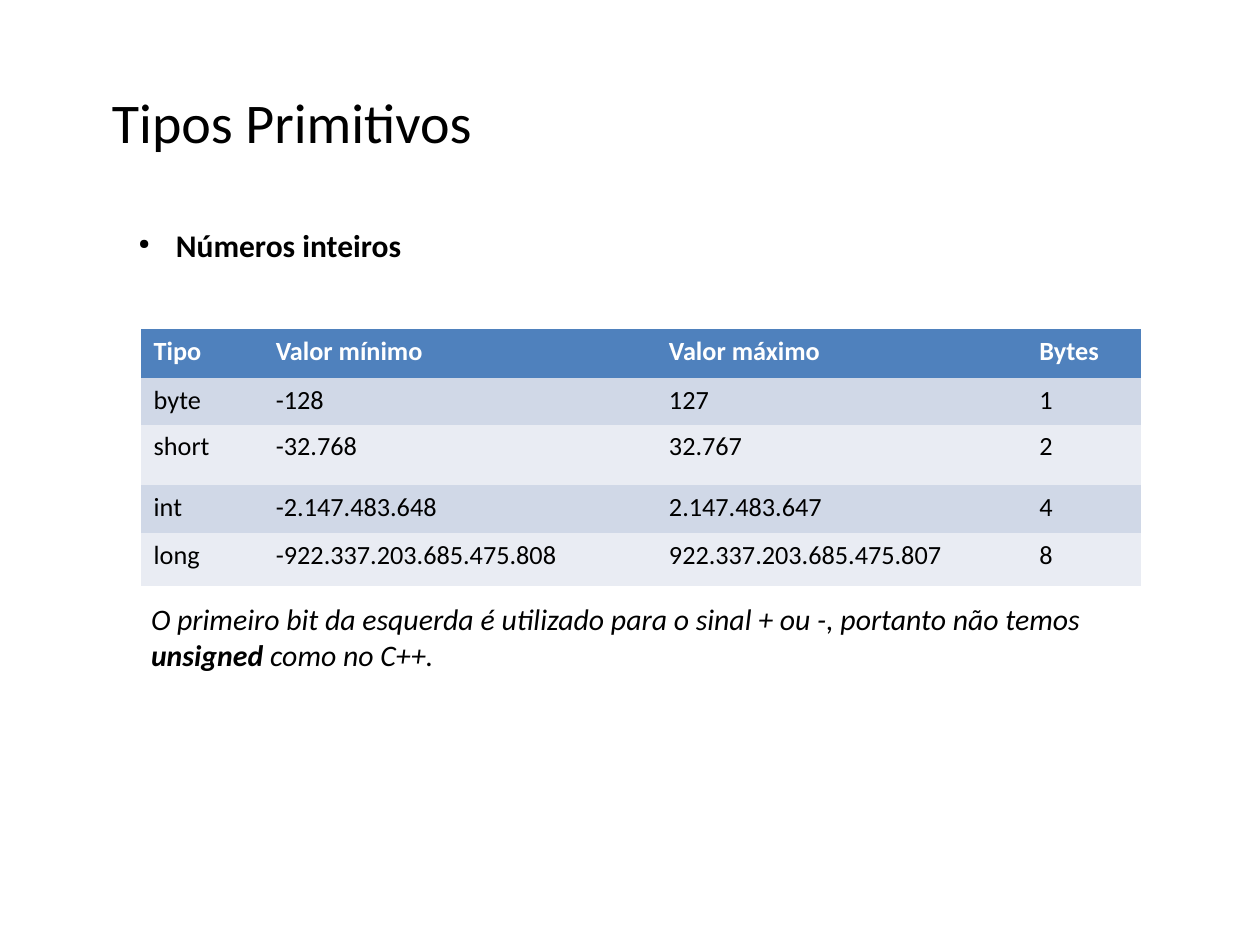
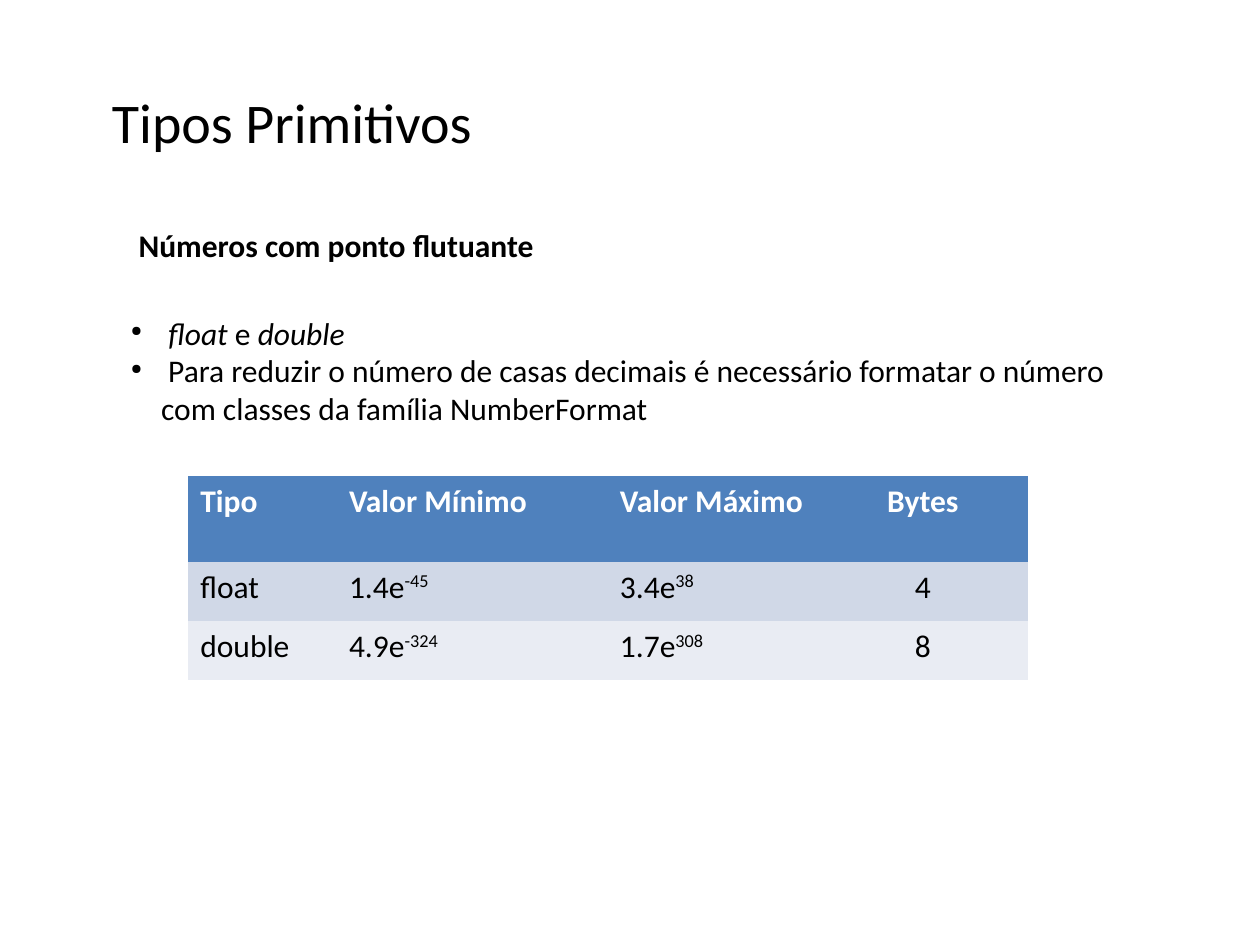
from dataclasses import dataclass

from lxml import etree
from pptx import Presentation
from pptx.dml.color import RGBColor
from pptx.enum.text import MSO_ANCHOR, PP_ALIGN
from pptx.oxml.ns import qn
from pptx.util import Inches, Pt

TOP, MIDDLE = MSO_ANCHOR.TOP, MSO_ANCHOR.MIDDLE
LEFT, CENTER = PP_ALIGN.LEFT, PP_ALIGN.CENTER
BLANK_LAYOUT = 6
PLAIN_TABLE_STYLE = "{2D5ABB26-0587-4C30-8999-92F81FD0307C}"


@dataclass(frozen=True)
class Theme:
    font: str = "Calibri"
    ink: str = "000000"
    header_ink: str = "FFFFFF"
    header_fill: str = "4F81BD"
    band_fills: tuple = ("D0D8E7", "E9ECF3")
    title_size: int = 32
    body_size: int = 18
    note_size: int = 17
    compact_size: int = 15
    bullet_indent: float = 0.24


@dataclass(frozen=True)
class Span:
    text: str
    bold: bool = False
    italic: bool = False
    raised: bool = False


class SlideBuilder:
    def __init__(self, deck, theme):
        self.deck = deck
        self.theme = theme
        self.page = None

    def new_page(self, title, heading, bulleted=False):
        """Start a slide with the shared title and section heading."""
        layout = self.deck.slide_layouts[BLANK_LAYOUT]
        self.page = self.deck.slides.add_slide(layout)
        self.text_box((0.79, 0.22, 8.5, 1.48), [[Span(title)]],
                      self.theme.title_size, anchor=MIDDLE)
        self.text_box((1.1, 1.64, 7.95, 0.61), [[Span(heading, bold=True)]],
                      self.theme.body_size, anchor=MIDDLE,
                      bulleted=bulleted, inset=False)

    def text_box(self, place, paragraphs, size, anchor=TOP,
                 bulleted=False, inset=True):
        box = self.page.shapes.add_textbox(*map(Inches, place))
        frame = box.text_frame
        frame.word_wrap = True
        frame.vertical_anchor = anchor
        if not inset:
            frame.margin_left = frame.margin_right = 0
            frame.margin_top = frame.margin_bottom = 0
        for index, spans in enumerate(paragraphs):
            para = frame.add_paragraph() if index else frame.paragraphs[0]
            if bulleted:
                self.add_bullet(para)
            self.fill_paragraph(para, spans, size, self.theme.ink)

    def add_bullet(self, para):
        properties = para._p.get_or_add_pPr()
        indent = Inches(self.theme.bullet_indent)
        properties.set("marL", str(indent))
        properties.set("indent", str(-indent))
        colour = etree.SubElement(properties, qn("a:buClr"))
        etree.SubElement(colour, qn("a:srgbClr"), val=self.theme.ink)
        etree.SubElement(properties, qn("a:buSzPct"), val="45000")
        etree.SubElement(properties, qn("a:buChar"), char="●")

    def fill_paragraph(self, para, spans, size, colour):
        para.font.name = self.theme.font
        para.font.size = Pt(size)
        para.font.color.rgb = RGBColor.from_string(colour)
        para.font.bold = all(span.bold for span in spans)
        para.font.italic = all(span.italic for span in spans)
        for span in spans:
            run = para.add_run()
            run.text = span.text
            if span.bold != para.font.bold:
                run.font.bold = span.bold
            if span.italic != para.font.italic:
                run.font.italic = span.italic
            if span.raised:
                run.font._element.set("baseline", "33000")

    def table(self, left, top, widths, heights, rows, size, alignments):
        """Draw a header row and banded rows; each cell is a list of spans."""
        shape = self.page.shapes.add_table(
            len(rows), len(widths), Inches(left), Inches(top),
            Inches(sum(widths)), Inches(sum(heights)))
        table = shape.table
        table._tbl.tblPr.find(qn("a:tableStyleId")).text = PLAIN_TABLE_STYLE
        for column, width in zip(table.columns, widths):
            column.width = Inches(width)
        for row, height in zip(table.rows, heights):
            row.height = Inches(height)
        for row_index, row in enumerate(rows):
            if row_index:
                fill = self.theme.band_fills[(row_index - 1) % 2]
                ink = self.theme.ink
            else:
                fill, ink = self.theme.header_fill, self.theme.header_ink
            for column_index, spans in enumerate(row):
                cell = table.cell(row_index, column_index)
                cell.fill.solid()
                cell.fill.fore_color.rgb = RGBColor.from_string(fill)
                para = cell.text_frame.paragraphs[0]
                para.alignment = alignments[column_index]
                self.fill_paragraph(para, spans, size, ink)


def header(*labels):
    return [[Span(label, bold=True)] for label in labels]


def plain(*values):
    return [[Span(value)] for value in values]


def power(mantissa, exponent):
    return [Span(mantissa + "e"), Span(exponent, raised=True)]


def integer_types(builder):
    theme = builder.theme
    builder.new_page("Tipos Primitivos", " Números inteiros", bulleted=True)
    builder.table(
        1.12, 2.61, (0.97, 3.12, 2.94, 0.91), (0.39, 0.37, 0.48, 0.38, 0.42),
        [header("Tipo", "Valor mínimo", "Valor máximo", "Bytes"),
         plain("byte", "-128", "127", "1"),
         plain("short", "-32.768", "32.767", "2"),
         plain("int", "-2.147.483.648", "2.147.483.647", "4"),
         plain("long", "-922.337.203.685.475.808",
               "922.337.203.685.475.807", "8")],
        theme.compact_size, [LEFT] * 4)
    builder.text_box(
        (1.1, 4.72, 7.95, 0.71),
        [[Span("O primeiro bit da esquerda é utilizado para o sinal + ou -, "
               "portanto não temos ", italic=True),
          Span("unsigned", bold=True, italic=True),
          Span(" como no C++.", italic=True)]],
        theme.note_size)


def floating_point_types(builder):
    theme = builder.theme
    builder.new_page("Tipos Primitivos", "Números com ponto flutuante")
    builder.table(
        1.49, 3.78, (1.18, 2.15, 1.67, 1.67), (0.68, 0.47, 0.47),
        [header("Tipo", "Valor Mínimo", "Valor Máximo", "Bytes"),
         [[Span("float")], power("1.4", "-45"), power("3.4", "38"),
          [Span("4")]],
         [[Span("double")], power("4.9", "-324"), power("1.7", "308"),
          [Span("8")]]],
        theme.body_size, [LEFT, LEFT, LEFT, CENTER])
    builder.text_box(
        (0.94, 2.44, 8.11, 1),
        [[Span(" "), Span("float", italic=True), Span(" e "),
          Span("double", italic=True)],
         [Span(" Para reduzir o número de casas decimais é necessário "
               "formatar o número com classes da família NumberFormat")]],
        theme.body_size, bulleted=True)


def main():
    deck = Presentation()
    deck.slide_width, deck.slide_height = Inches(10), Inches(7.5)
    builder = SlideBuilder(deck, Theme())
    integer_types(builder)
    floating_point_types(builder)
    deck.save("out.pptx")


if __name__ == "__main__":
    main()
